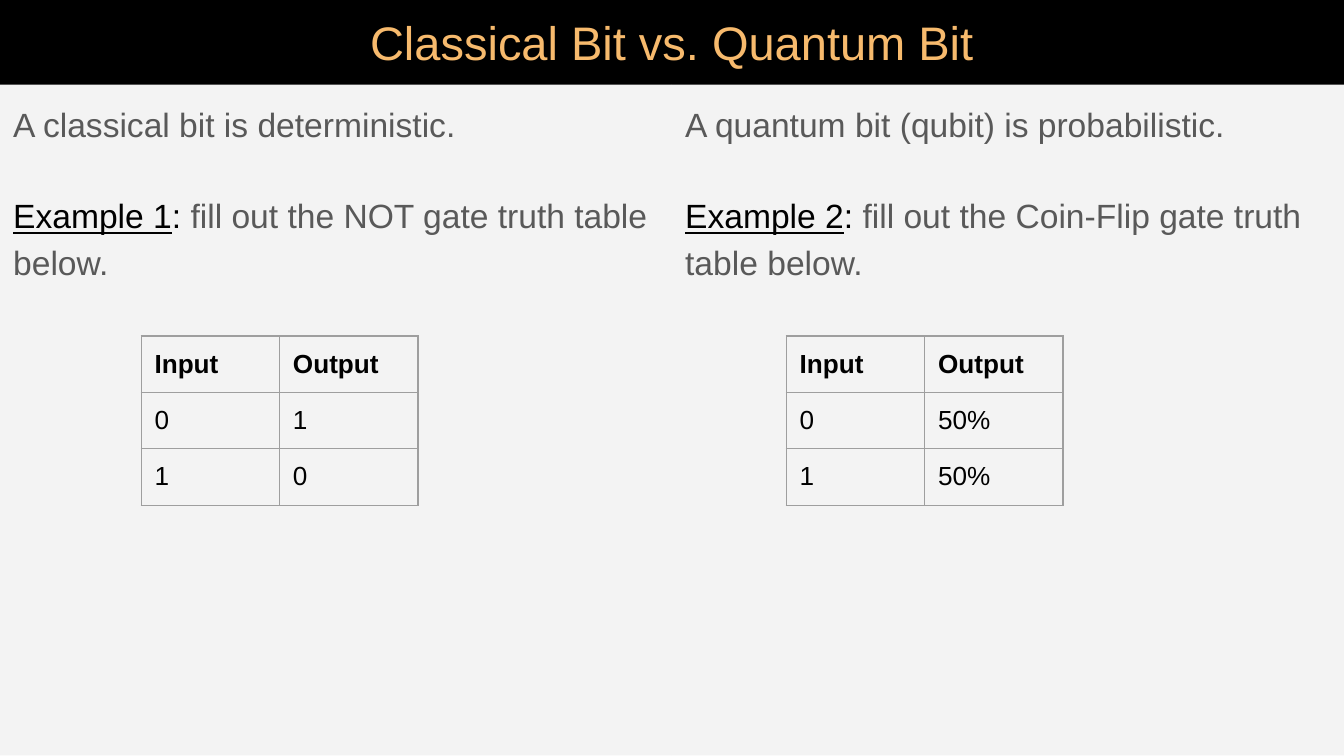
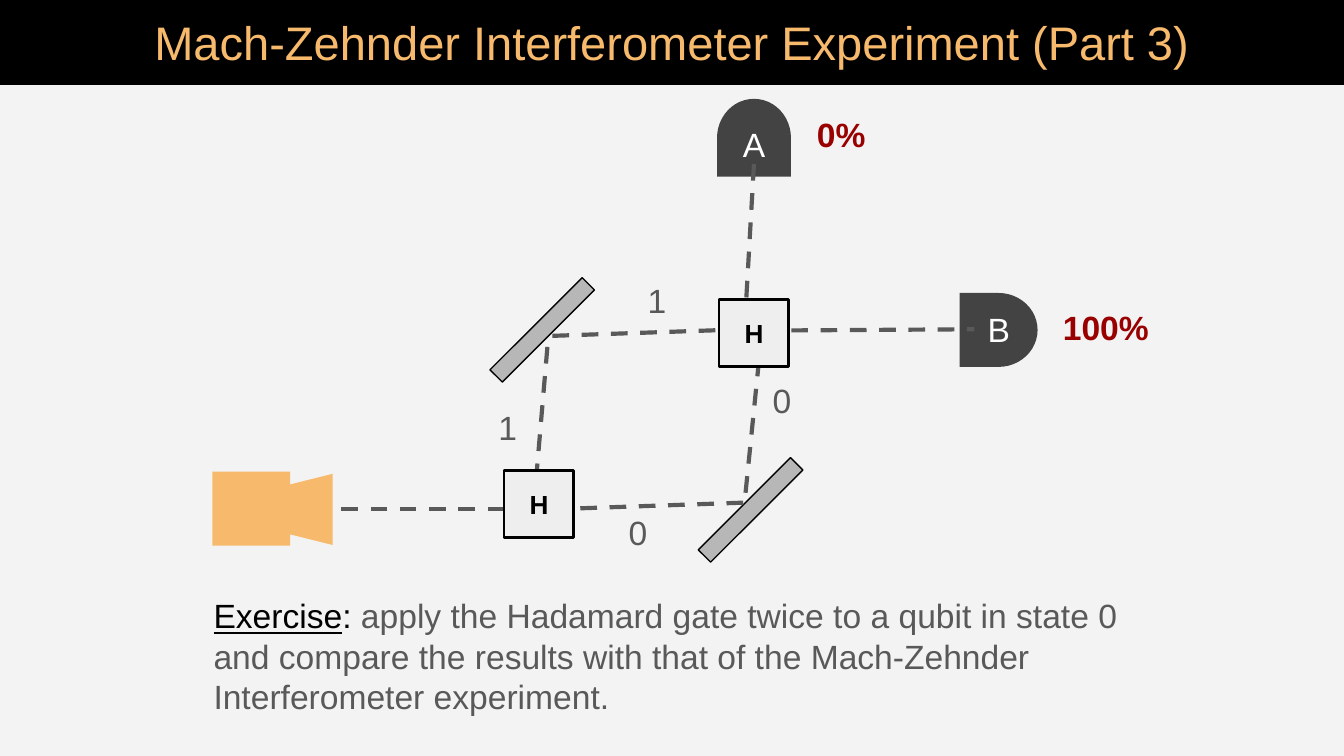
from dataclasses import dataclass

from lxml.etree import SubElement
from pptx import Presentation
from pptx.dml.color import RGBColor
from pptx.enum.dml import MSO_LINE
from pptx.enum.shapes import MSO_CONNECTOR, MSO_SHAPE
from pptx.enum.text import MSO_ANCHOR, PP_ALIGN
from pptx.oxml.ns import qn
from pptx.util import Emu, Pt

PX = 9144  # 100 px to the inch


@dataclass(frozen=True)
class Theme:
    font: str = "Arial"
    black: str = "000000"
    white: str = "FFFFFF"
    gold: str = "F7BA6D"
    pale: str = "F3F3F3"
    gray: str = "595959"
    dark: str = "434343"
    glass: str = "B7B7B7"
    gate: str = "EEEEEE"
    grid: str = "9E9E9E"
    red: str = "990000"
    head: float = 25.2
    body: int = 18
    small: int = 14


theme = Theme()


def box(slide, kind, at, fill=None, line=None, weight=0.75, turn=0):
    """Add a preset shape, or a text box when kind is None."""
    place = [Emu(n * PX) for n in at]
    if kind is None:
        shape = slide.shapes.add_textbox(*place)
    else:
        shape = slide.shapes.add_shape(kind, *place)
        shape.shadow.inherit = False
        shape.fill.solid()
        shape.fill.fore_color.rgb = RGBColor.from_string(fill)
        if line:
            shape.line.color.rgb = RGBColor.from_string(line)
            shape.line.width = Pt(weight)
        else:
            shape.line.fill.background()
        shape.rotation = turn
    frame = shape.text_frame
    frame.word_wrap = True
    frame.vertical_anchor = MSO_ANCHOR.TOP
    frame.margin_left = frame.margin_right = Emu(10 * PX)
    frame.margin_top = frame.margin_bottom = Emu(10 * PX)
    return shape


def write(para, parts, size=theme.body, bold=False, align=PP_ALIGN.LEFT):
    """Fill a paragraph with (text, colour) runs; a third item underlines."""
    para.alignment = align
    for text, color, *under in parts:
        run = para.add_run()
        run.text = text
        run.font.name = theme.font
        run.font.size = Pt(size)
        run.font.bold = bold
        run.font.underline = bool(under)
        run.font.color.rgb = RGBColor.from_string(color)


deck = Presentation()
deck.slide_width = Emu(1000 * PX)
deck.slide_height = Emu(5625 * PX // 10)

# Slides with their title bands
slides = []
for title, back in [
    ("Classical Bit vs. Quantum Bit", theme.white),
    ("Mach-Zehnder Interferometer Experiment (Part 3)", theme.pale),
]:
    slide = deck.slides.add_slide(deck.slide_layouts[6])
    slide.background.fill.solid()
    slide.background.fill.fore_color.rgb = RGBColor.from_string(back)
    band = box(slide, MSO_SHAPE.RECTANGLE, (0, 0, 1000, 63), theme.black, theme.black)
    write(band.text_frame.paragraphs[0], [(title, theme.gold)], theme.head,
          align=PP_ALIGN.CENTER)
    slides.append(slide)
bits, lab = slides

# Slide 1: two columns of text, each with a truth table
columns = [
    (0, 105, "A classical bit is deterministic.", "Example 1",
     " fill out the NOT gate truth table below.", ["1", "0"]),
    (500, 585, "A quantum bit (qubit) is probabilistic.", "Example 2",
     " fill out the Coin-Flip gate truth table below.", ["50%", "50%"]),
]
for left, inset, claim, name, task, out in columns:
    frame = box(bits, MSO_SHAPE.RECTANGLE, (left, 63, 500, 499), theme.pale).text_frame
    first, last = frame.paragraphs[0], frame.add_paragraph()
    write(first, [(claim, theme.gray)])
    write(last, [(name, theme.black, True), (":", theme.black), (task, theme.gray)])
    first.line_spacing = last.line_spacing = 1.15
    last.space_before = Pt(24)

    rows = [("Input", "Output"), ("0", out[0]), ("1", out[1])]
    place = [Emu(n * PX) for n in (inset, 250, 206, 126)]
    table = bits.shapes.add_table(3, 2, *place).table
    for r, row in enumerate(rows):
        for c, text in enumerate(row):
            cell = table.cell(r, c)
            cell.margin_left = cell.margin_right = Emu(10 * PX)
            cell.margin_top = cell.margin_bottom = Emu(10 * PX)
            write(cell.text_frame.paragraphs[0], [(text, theme.black)],
                  theme.small, bold=r == 0)
            props = cell._tc.get_or_add_tcPr()
            for side in ("lnL", "lnR", "lnT", "lnB"):
                edge = SubElement(props, qn("a:" + side), w=str(Pt(0.75)))
                fill = SubElement(edge, qn("a:solidFill"))
                SubElement(fill, qn("a:srgbClr"), val=theme.grid)
            cell.fill.background()

# Slide 2: exercise text
note = box(lab, None, (149, 433, 702, 118))
write(note.text_frame.paragraphs[0], [
    ("Exercise", theme.black, True),
    (":", theme.black),
    (" apply the Hadamard gate twice to a qubit in state 0 and compare the results "
     "with that of the Mach-Zehnder Interferometer experiment.", theme.gray),
])

# Light source
box(lab, MSO_SHAPE.RECTANGLE, (158, 351, 58, 55), theme.gold)
horn = box(lab, MSO_SHAPE.TRAPEZOID, (205, 363, 53, 32), theme.gold, turn=270)
horn.adjustments[0] = 0.25

# Detectors
for name, x, y, turn, anchor in [
    ("A", 532, 75, 270, MSO_ANCHOR.TOP),
    ("B", 714, 218, 0, MSO_ANCHOR.MIDDLE),
]:
    box(lab, MSO_SHAPE.FLOWCHART_DELAY, (x, y, 58, 55), theme.dark, turn=turn)
    frame = box(lab, None, (x + 11, y + 7, 36, 40)).text_frame
    frame.vertical_anchor = anchor
    write(frame.paragraphs[0], [(name, theme.white)])

# Mirrors
for x, y in [(397, 197), (552, 331)]:
    box(lab, MSO_SHAPE.RECTANGLE, (x, y, 13, 97), theme.glass, theme.black, turn=45)

# Light beams
for ends in [
    (561, 122, 554, 245),
    (567, 246, 725, 245),
    (410, 379, 554, 374),
    (567, 246, 554, 374),
    (397, 379, 408, 250),
    (554, 245, 408, 250),
    (397, 379, 248, 379),
]:
    beam = lab.shapes.add_connector(MSO_CONNECTOR.STRAIGHT, *[Emu(n * PX) for n in ends])
    beam.line.color.rgb = RGBColor.from_string(theme.gray)
    beam.line.width = Pt(2.25)
    beam.line.dash_style = MSO_LINE.DASH
    SubElement(beam._element.spPr, qn("a:effectLst"))

# Path states and detection rates
for text, x, y, width, color in [
    ("1", 472, 198, 30, theme.gray),
    ("0", 565, 273, 30, theme.gray),
    ("1", 361, 293, 30, theme.gray),
    ("0", 458, 371, 30, theme.gray),
    ("0%", 598, 75, 77, theme.red),
    ("100%", 781, 218, 99, theme.red),
]:
    label = box(lab, None, (x, y, width, 55))
    write(label.text_frame.paragraphs[0], [(text, color)], bold=color == theme.red)

# Hadamard gates
for x, y in [(375, 350), (535, 223)]:
    gate = box(lab, MSO_SHAPE.RECTANGLE, (x, y, 52, 50), theme.gate, theme.black, 1.5)
    gate.text_frame.vertical_anchor = MSO_ANCHOR.MIDDLE
    write(gate.text_frame.paragraphs[0], [("H", theme.black)], theme.small, True,
          PP_ALIGN.CENTER)

deck.save("out.pptx")
